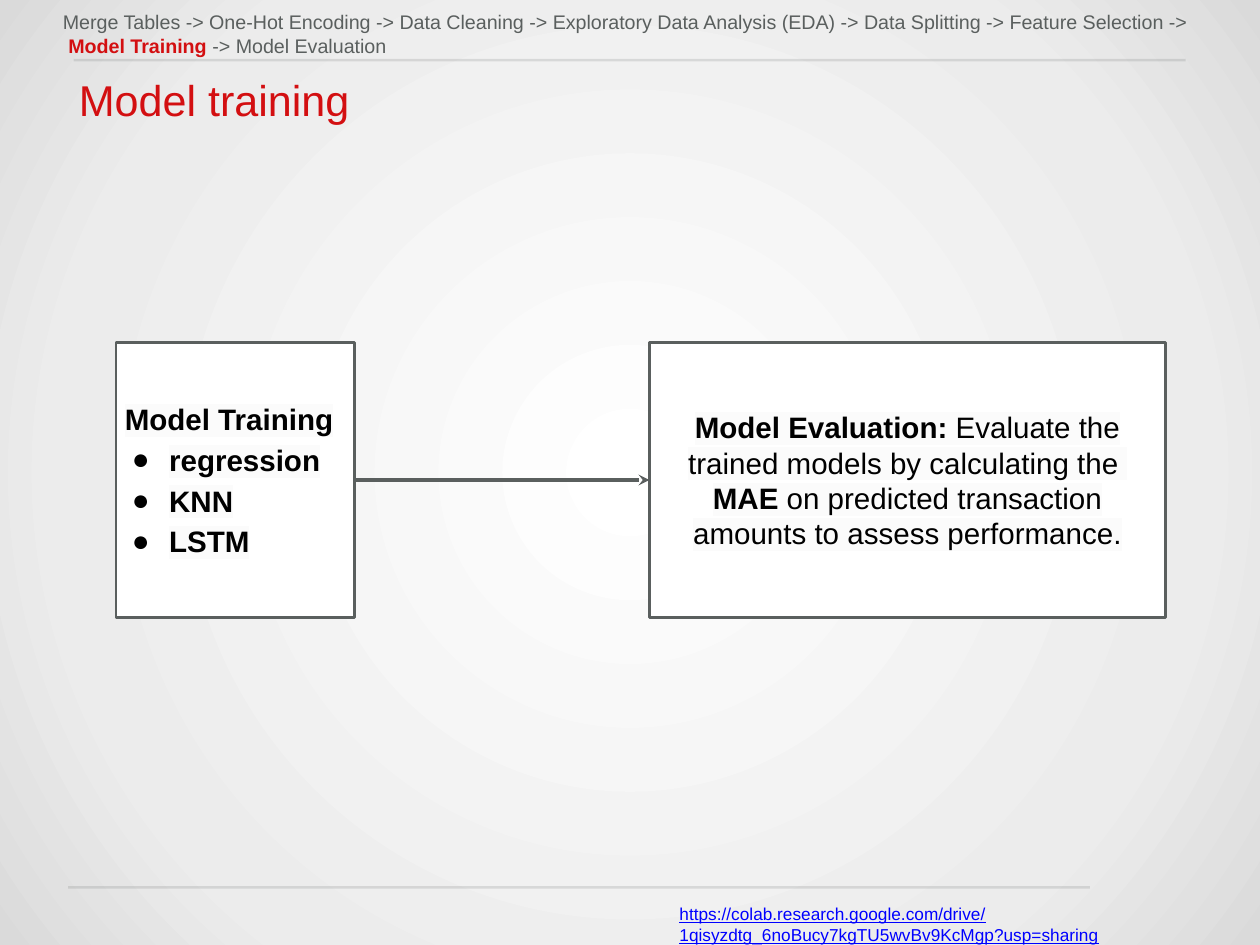
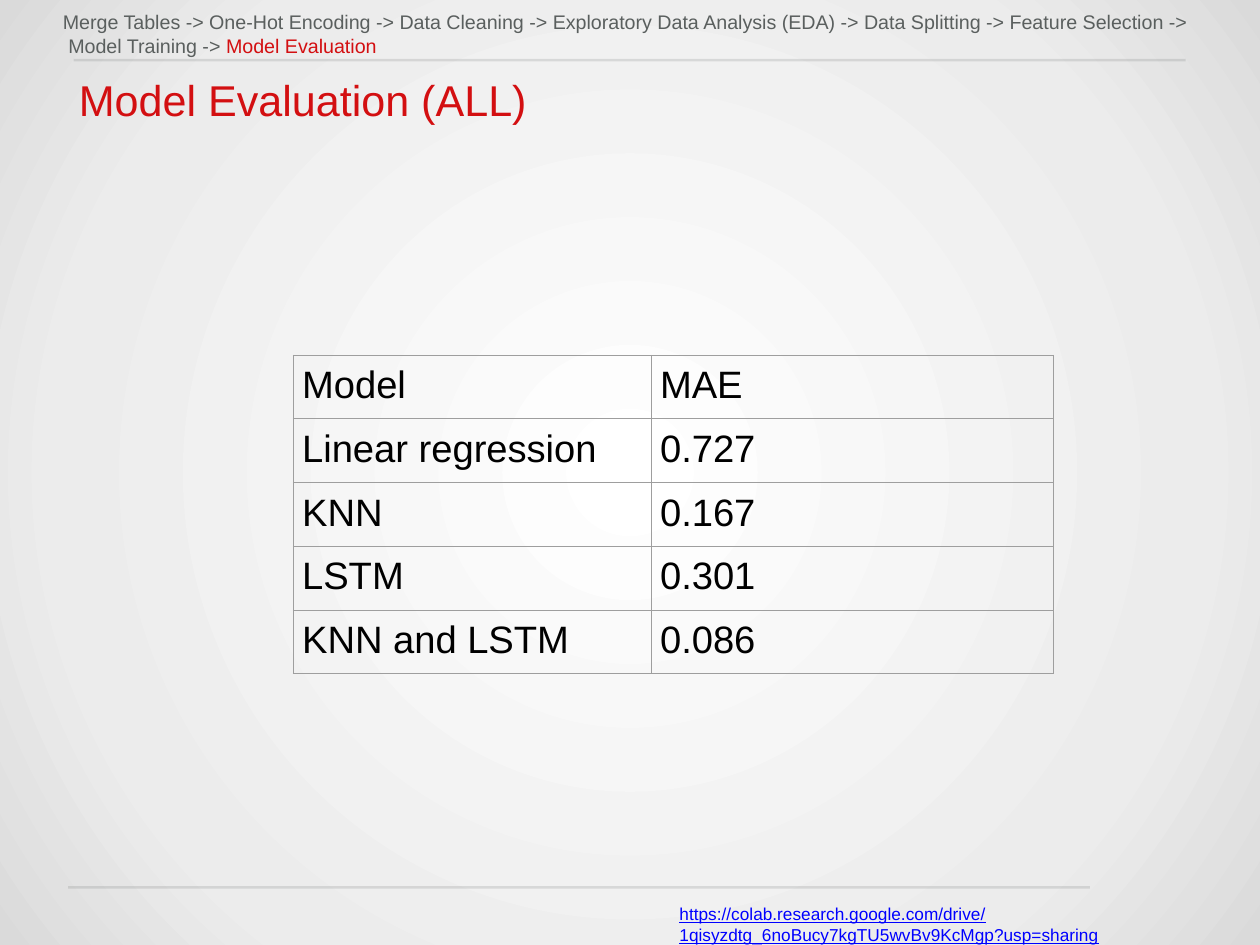
from pptx import Presentation, util as u
from pptx.dml.color import RGBColor
from pptx.enum import shapes, text
from pptx.oxml import parse_xml
from pptx.oxml.ns import nsdecls, qn

RED, GREY, BLACK, WHITE = "D30F11", "5A5F5E", "000000", "FFFFFF"
LINK, HIGHLIGHT, BORDER = "0000FF", "FBFBFB", "9E9E9E"
FONT = "Arial"
BACKGROUND_STOPS = [(0, WHITE), (73, "ECECEC"), (100, "DADADA")]
RULES = [(0.83, 13.38, 0.68), (0.77, 12.3, 10.02)]
STEP_ROWS = [
    ["Merge Tables", "One-Hot Encoding", "Data Cleaning",
     "Exploratory Data Analysis (EDA)", "Data Splitting", "Feature Selection"],
    ["Model Training", "Model Evaluation"],
]
NOTEBOOK = "https://colab.research.google.com/drive/1qisyzdtg_6noBucy7kgTU5wvBv9KcMgp?usp=sharing"
ALGORITHMS = ["regression", "KNN", "LSTM"]
SCORES = [("Model", "MAE"), ("Linear regression", "0.727"), ("KNN", "0.167"),
          ("LSTM", "0.301"), ("KNN and LSTM", "0.086")]


def rgb(value):
    return RGBColor.from_string(value)


def xml(tag, content="", **attributes):
    """Build one element of the drawing namespace."""
    pairs = " ".join(f'{name}="{value}"' for name, value in attributes.items())
    return parse_xml(f'<a:{tag} {nsdecls("a")} {pairs}>{content}</a:{tag}>')


def color_xml(value):
    return f'<a:srgbClr val="{value}"/>'


def set_all(target, **values):
    for name, value in values.items():
        setattr(target, name, value)


def add_run(paragraph, words, size, color, highlight=None, **style):
    run = paragraph.add_run()
    run.text = words
    set_all(run.font, name=FONT, size=u.Pt(size), **style)
    run.font.color.rgb = rgb(color)
    if highlight:
        fill = run.font._element.find(qn("a:solidFill"))
        fill.addnext(xml("highlight", color_xml(highlight)))


def format_frame(frame, margin, anchor=text.MSO_ANCHOR.TOP):
    inset = u.Inches(margin)
    set_all(frame, word_wrap=True, auto_size=text.MSO_AUTO_SIZE.NONE, vertical_anchor=anchor,
            margin_left=inset, margin_right=inset, margin_top=inset, margin_bottom=inset)
    return frame


def add_text_box(slide, box, margin):
    shape = slide.shapes.add_textbox(*map(u.Inches, box))
    return format_frame(shape.text_frame, margin).paragraphs[0]


def add_line(slide, start, end, width):
    line = slide.shapes.add_connector(shapes.MSO_CONNECTOR.STRAIGHT,
                                      *map(u.Inches, (*start, *end)))
    line.line.color.rgb = rgb(GREY)
    line.line.width = u.Pt(width)
    line._element.spPr.append(xml("effectLst"))
    return line


def set_background(master):
    master.background.fill.gradient()
    gradient = master.element.find(".//" + qn("a:gradFill"))
    stops = "".join(f'<a:gs pos="{position * 1000}">{color_xml(color)}</a:gs>'
                    for position, color in BACKGROUND_STOPS)
    center = '<a:fillToRect l="50000" t="50000" r="50000" b="50000"/>'
    radial = f'<a:gsLst>{stops}</a:gsLst><a:path path="circle">{center}</a:path>'
    gradient.getparent().replace(gradient, xml("gradFill", radial, rotWithShape=1))


def add_rules(slide):
    for left, right, y in RULES:
        rule = add_line(slide, (left, y), (right, y), 2)
        color = rule._element.spPr.find(".//" + qn("a:srgbClr"))
        color.append(xml("alpha", val=16000))


def add_title(slide, words):
    title = slide.shapes.title
    set_all(title, left=u.Inches(0.83), top=u.Inches(0.83),
            width=u.Inches(12.54), height=u.Inches(0.67))
    paragraph = format_frame(title.text_frame, 0.06).paragraphs[0]
    set_all(paragraph, alignment=text.PP_ALIGN.LEFT, line_spacing=0.9)
    add_run(paragraph, words, 35, RED)


def add_breadcrumb(slide, current, bold):
    paragraph = add_text_box(slide, (0.65, 0.05, 13.5, 0.65), 0.06)
    first_row, second_row = STEP_ROWS
    add_run(paragraph, " -> ".join(first_row) + " ->", 16, GREY)
    paragraph.add_line_break()
    for index, step in enumerate(second_row):
        if index:
            add_run(paragraph, " ->", 16, GREY)
        active = step == current
        add_run(paragraph, " " + step, 16, RED if active else GREY, bold=active and bold)


def add_slide(presentation, title, current, bold=False):
    """Add a slide with the shared rules, breadcrumb, title and notebook address."""
    slide = presentation.slides.add_slide(presentation.slide_layouts[5])
    add_rules(slide)
    add_title(slide, title)
    add_breadcrumb(slide, current, bold)
    address = add_text_box(slide, (7.57, 10.1, 6.12, 0.57), 0.1)
    add_run(address, NOTEBOOK, 14, LINK, underline=True)
    return slide


def add_panel(slide, box):
    panel = slide.shapes.add_shape(shapes.MSO_SHAPE.RECTANGLE, *map(u.Inches, box))
    panel.shadow.inherit = False
    panel.fill.solid()
    panel.fill.fore_color.rgb = rgb(WHITE)
    panel.line.color.rgb = rgb(GREY)
    panel.line.width = u.Pt(2.25)
    format_frame(panel.text_frame, 0.1, text.MSO_ANCHOR.MIDDLE)
    return panel


def add_bullet(paragraph):
    properties = paragraph._p.get_or_add_pPr()
    properties.set("marL", str(u.Inches(0.5)))
    properties.set("indent", str(u.Inches(-0.42)))
    properties.append(xml("buClr", color_xml(BLACK)))
    properties.append(xml("buFont", typeface=FONT))
    properties.append(xml("buChar", char="●"))


def add_training_panel(slide, box):
    panel = add_panel(slide, box)
    frame = panel.text_frame
    for index, words in enumerate(["Model Training", *ALGORITHMS]):
        paragraph = frame.add_paragraph() if index else frame.paragraphs[0]
        paragraph.alignment = text.PP_ALIGN.LEFT
        if index:
            add_bullet(paragraph)
            paragraph.line_spacing = 1.15
        add_run(paragraph, words, 24, BLACK, HIGHLIGHT, bold=True)
    return panel


def add_evaluation_panel(slide, box):
    panel = add_panel(slide, box)
    frame = panel.text_frame
    sentences = [("Model Evaluation: ", "Evaluate the trained models by calculating the "),
                 ("MAE", " on predicted transaction amounts to assess performance.")]
    for index, (lead, rest) in enumerate(sentences):
        paragraph = frame.add_paragraph() if index else frame.paragraphs[0]
        paragraph.alignment = text.PP_ALIGN.CENTER
        add_run(paragraph, lead, 24, BLACK, HIGHLIGHT, bold=True)
        add_run(paragraph, rest, 24, BLACK, HIGHLIGHT, bold=False)
    return panel


def add_flow(slide, left, top, height):
    middle = top + height / 2
    training = add_training_panel(slide, (left, top, 2.69, height))
    evaluation = add_evaluation_panel(slide, (left + 6.02, top, 5.82, height))
    arrow = add_line(slide, (left + 2.69, middle), (left + 6.02, middle), 3)
    arrow.begin_connect(training, 3)
    arrow.end_connect(evaluation, 1)
    arrow.line._get_or_add_ln().append(xml("tailEnd", type="stealth"))


def format_cell(cell, words):
    inset = u.Inches(0.1)
    set_all(cell, margin_left=inset, margin_right=inset, margin_top=inset, margin_bottom=inset)
    add_run(cell.text_frame.paragraphs[0], words, 31, BLACK)
    cell.fill.background()
    properties = cell._tc.get_or_add_tcPr()
    for index, side in enumerate(("lnL", "lnR", "lnT", "lnB")):
        fill = f"<a:solidFill>{color_xml(BORDER)}</a:solidFill>"
        properties.insert(index, xml(side, fill, w=u.Pt(0.75)))


def add_scores(slide, left, top, widths, row_height):
    box = (left, top, sum(widths), row_height * len(SCORES))
    table = slide.shapes.add_table(len(SCORES), len(widths), *map(u.Inches, box)).table
    set_all(table, first_row=False, horz_banding=False)
    for column, width in zip(table.columns, widths):
        column.width = u.Inches(width)
    for row, values in zip(table.rows, SCORES):
        row.height = u.Inches(row_height)
        for cell, words in zip(row.cells, values):
            format_cell(cell, words)


def main():
    presentation = Presentation()
    set_all(presentation, slide_width=u.Inches(14.22), slide_height=u.Inches(10.67))
    set_background(presentation.slide_master)
    training = add_slide(presentation, "Model training", "Model Training", bold=True)
    add_flow(training, 1.31, 3.87, 3.1)
    evaluation = add_slide(presentation, "Model Evaluation (ALL)", "Model Evaluation")
    add_scores(evaluation, 3.31, 4.01, (4.04, 4.54), 0.72)
    presentation.save("out.pptx")


if __name__ == "__main__":
    main()
